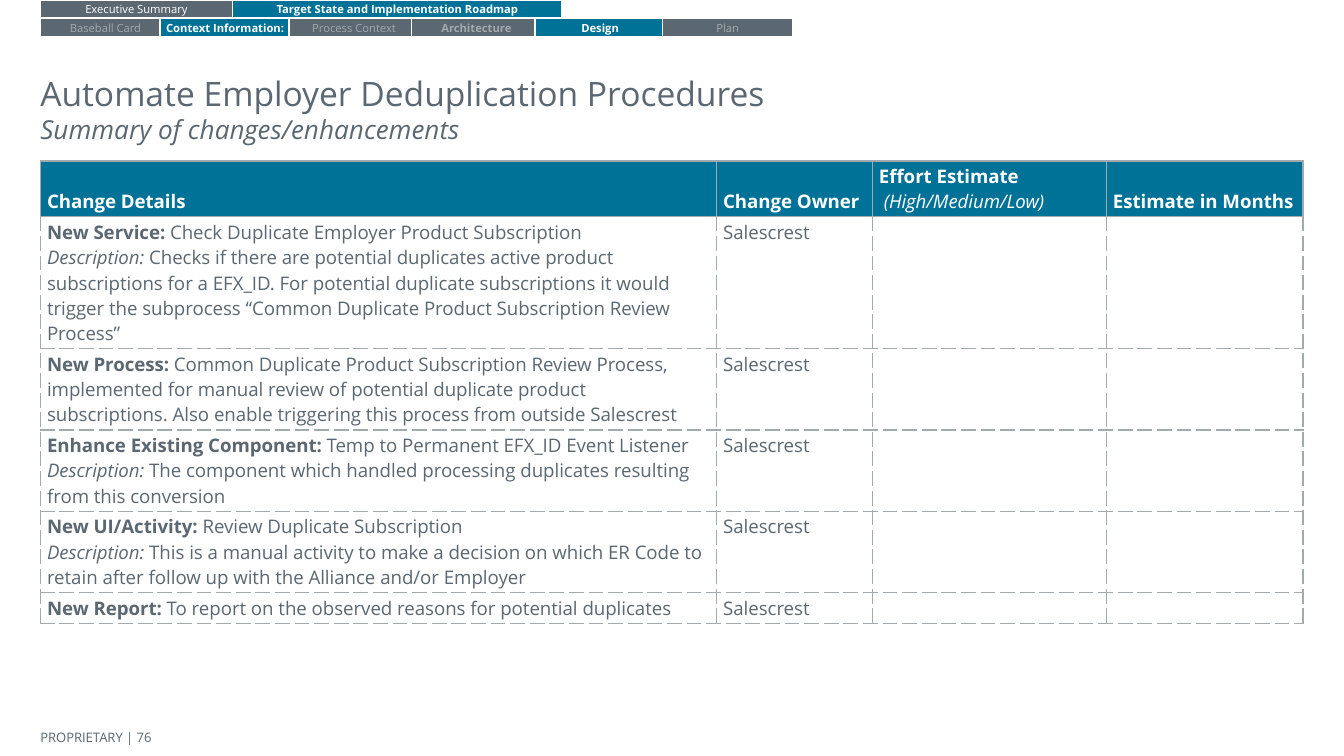
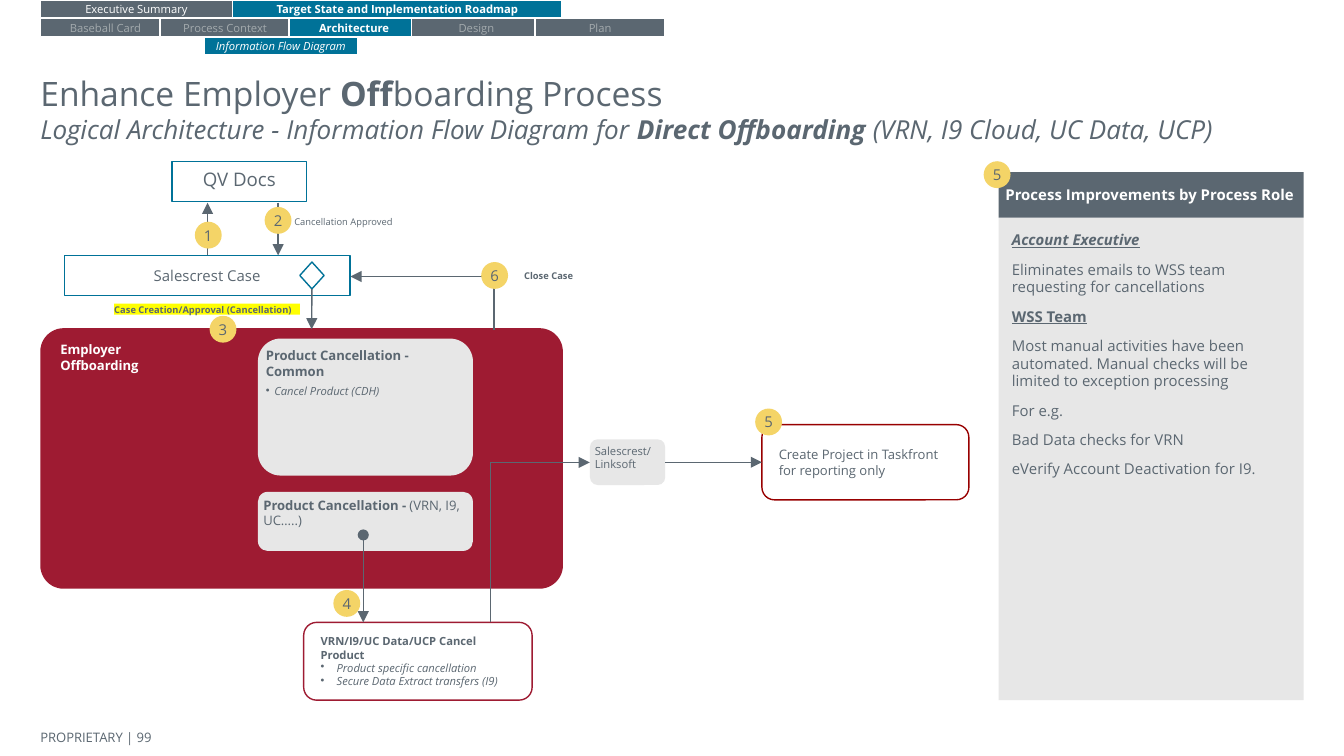
"""Build two roadmap slides: a change summary table and an offboarding flow diagram."""
from lxml.etree import SubElement
from pptx import Presentation
from pptx.dml.color import RGBColor
from pptx.enum.shapes import MSO_CONNECTOR, MSO_SHAPE
from pptx.enum.text import MSO_ANCHOR, MSO_AUTO_SIZE, PP_ALIGN
from pptx.oxml.ns import qn
from pptx.util import Pt

FONT = "Open Sans"
SLATE = RGBColor(0x5B, 0x67, 0x71)
TEAL = RGBColor(0x00, 0x72, 0x98)
MUTED = RGBColor(0xA3, 0xAA, 0xAD)
WHITE = RGBColor(0xFF, 0xFF, 0xFF)
CRIMSON = RGBColor(0x9E, 0x1B, 0x32)
DARK_RED = RGBColor(0x98, 0x00, 0x00)
PALE = RGBColor(0xE7, 0xE7, 0xE7)
GOLD = RGBColor(0xF4, 0xD4, 0x67)
YELLOW = RGBColor(0xFF, 0xFF, 0x00)
RECTANGLE, ROUNDED = MSO_SHAPE.RECTANGLE, MSO_SHAPE.ROUNDED_RECTANGLE
LEFT, CENTER = PP_ALIGN.LEFT, PP_ALIGN.CENTER
TOP, MIDDLE = MSO_ANCHOR.TOP, MSO_ANCHOR.MIDDLE


def write(frame, paras, size, colour=SLATE, align=LEFT, gap=0, bullet=None):
    """Fill a frame with paragraphs of (text, style letters, optional size) spans."""
    for index, spans in enumerate(paras):
        para = frame.add_paragraph() if index else frame.paragraphs[0]
        if index and bullet:
            properties = para._p.get_or_add_pPr()
            properties.set("marL", str(Pt(bullet)))
            properties.set("indent", str(-Pt(bullet)))
            bullet_colour = SubElement(properties, qn("a:buClr"))
            SubElement(bullet_colour, qn("a:srgbClr"), val=str(SLATE))
            SubElement(properties, qn("a:buChar"), char="•")
        para.alignment = align
        para.line_spacing = 1.0
        para.space_before = Pt(gap if index else 0)
        for text, style, *own_size in spans:
            for number, line in enumerate(text.split("\n")):
                if number:
                    para.add_line_break()
                span = para.add_run()
                span.text = line
                span.font.name = FONT
                span.font.size = Pt(own_size[0] if own_size else size)
                span.font.color.rgb = colour
                span.font.bold = "b" in style
                span.font.italic = "i" in style
                span.font.underline = "u" in style


def draw(page, kind, place, paras=(), size=6, fill=None, line=None, inset=(0, 0, 0, 0),
         anchor=TOP, adjust=None, **text_options):
    """Add a preset shape, or a text box when kind is None."""
    place = [Pt(length) for length in place]
    if kind is None:
        box = page.shapes.add_textbox(*place)
    else:
        box = page.shapes.add_shape(kind, *place)
        box.shadow.inherit = False
        if adjust is not None:
            box.adjustments[0] = adjust
        if fill is None:
            box.fill.background()
        else:
            box.fill.solid()
            box.fill.fore_color.rgb = fill
        if line is None:
            box.line.fill.background()
        else:
            box.line.color.rgb = line
            box.line.width = Pt(0.75)
    frame = box.text_frame
    frame.word_wrap = True
    frame.vertical_anchor = anchor
    frame.margin_left, frame.margin_top, frame.margin_right, frame.margin_bottom = [
        Pt(margin) for margin in inset]
    write(frame, paras, size, **text_options)
    return box


deck = Presentation()
deck.slide_width, deck.slide_height = Pt(720), Pt(405)

TAB_LEFTS = [21.6, 85.7, 154.8, 220.3, 286.6, 355]
SLIDES = [
    (76,
     [[("Automate Employer Deduplication Procedures", "")],
      [("Summary of changes/enhancements", "i", 14)]],
     [("Baseball Card", "", False), ("Context Information:", "b", True),
      ("Process Context", "", False), ("Architecture", "b", False),
      ("Design", "b", True), ("Plan", "", False)]),
    (99,
     [[("Enhance Employer ", ""), ("Off", "b"), ("boarding Process", "")],
      [("Logical Architecture - Information Flow Diagram for ", "i", 14),
       ("Direct Offboarding", "bi", 14), (" (VRN, I9 Cloud, UC Data, UCP)", "i", 14)]],
     [("Baseball Card", "", False), ("Process Context", "", False),
      ("Architecture", "b", True), ("Design", "", False), ("Plan", "", False)]),
]
pages = []
for number, heading, tabs in SLIDES:
    page = deck.slides.add_slide(deck.slide_layouts[5])
    pages.append(page)
    title = page.shapes.title
    title.left, title.top, title.width, title.height = Pt(21.6), Pt(39), Pt(676.8), Pt(36)
    frame = title.text_frame
    frame.auto_size = MSO_AUTO_SIZE.NONE
    frame.word_wrap = True
    frame.vertical_anchor = TOP
    frame.margin_left = frame.margin_top = frame.margin_right = frame.margin_bottom = 0
    write(frame, heading, 18)
    draw(page, None, (21.6, 388, 99.4, 13.7), [[(f"PROPRIETARY | {number}", "")]], 7,
         anchor=MIDDLE)
    strip = [("Target State and Implementation Roadmap", "b", (124.6, 0, 176.4, 9.4), TEAL, WHITE),
             ("Executive Summary", "", (21.6, 0, 103, 9.4), SLATE, WHITE)]
    for left, (label, style, active) in zip(TAB_LEFTS, tabs):
        strip.append((label, style, (left, 10.1, 69.8, 9.4),
                      TEAL if active else SLATE, WHITE if active else MUTED))
    if number == 99:
        strip.append(("Information Flow Diagram", "i", (109.4, 20.2, 82.1, 9.4), TEAL, WHITE))
    for label, style, place, fill, colour in strip:
        draw(page, RECTANGLE, place, [[(label, style)]], 6, fill, WHITE, (2.2,) * 4,
             MIDDLE, colour=colour, align=CENTER)

summary, flow = pages

HEADER = [[[("Change Details", "b")]], [[("Change Owner", "b")]],
          [[("Effort Estimate", "b")], [(" (High/Medium/Low)", "i")]],
          [[("Estimate in Months", "b")]]]
CHANGES = [
    [[("New Service:", "b"), (" Check Duplicate Employer Product Subscription", "")],
     [("Description:", "i"),
      (" Checks if there are potential duplicates active product subscriptions for a EFX_ID. "
       "For potential duplicate subscriptions it would trigger the subprocess “Common Duplicate "
       "Product Subscription Review Process”", "")]],
    [[("New Process: ", "b"),
      ("Common Duplicate Product Subscription Review Process, implemented for manual review of "
       "potential duplicate product subscriptions. Also enable triggering this process from "
       "outside Salescrest", "")]],
    [[("Enhance Existing Component: ", "b"), ("Temp to Permanent EFX_ID Event Listener", "")],
     [("Description:", "i"),
      (" The component which handled processing duplicates resulting from this conversion", "")]],
    [[("New UI/Activity: ", "b"), ("Review Duplicate Subscription", "")],
     [("Description:", "i"),
      (" This is a manual activity to make a decision on which ER Code to retain after follow up "
       "with the Alliance and/or Employer", "")]],
    [[("New Report: ", "b"),
      ("To report on the observed reasons for potential duplicates", "")]],
]
rows = [HEADER] + [[change, [[("Salescrest", "")]], [], []] for change in CHANGES]
widths = [362.2, 83.5, 125.4, 105.4]
heights = [30, 70.6, 43.6, 43.6, 43.6, 16.4]
table = summary.shapes.add_table(6, 4, Pt(21.6), Pt(86.2), Pt(sum(widths)),
                                 Pt(sum(heights))).table
table.horz_banding = False
for column, width in zip(table.columns, widths):
    column.width = Pt(width)
for row_index, (cells, height) in enumerate(zip(rows, heights)):
    table.rows[row_index].height = Pt(height)
    for column_index, paras in enumerate(cells):
        cell = table.cell(row_index, column_index)
        cell.margin_left = cell.margin_right = Pt(3.6)
        cell.margin_top = cell.margin_bottom = Pt(1.4)
        cell.vertical_anchor = TOP if row_index else MSO_ANCHOR.BOTTOM
        for side in ("lnL", "lnR", "lnT", "lnB"):
            solid = row_index == 0 or (row_index == 1 and side == "lnT")
            border = SubElement(cell._tc.get_or_add_tcPr(), qn(f"a:{side}"), w=str(Pt(0.75)))
            paint = SubElement(border, qn("a:solidFill"))
            SubElement(paint, qn("a:srgbClr"), val=str(MUTED))
            SubElement(border, qn("a:prstDash"), val="solid" if solid else "dash")
        cell.fill.solid()
        cell.fill.fore_color.rgb = WHITE if row_index else TEAL
        write(cell.text_frame, paras, 10, SLATE if row_index else WHITE)
        if not paras:
            SubElement(cell.text_frame.paragraphs[0]._p, qn("a:endParaRPr"), sz="1000")

draw(flow, ROUNDED, (21.6, 175.8, 280, 139.6), [[("Employer", "b")], [("Offboarding", "b")]],
     7, CRIMSON, inset=(7.2, 3.6, 7.2, 7.2), adjust=0.09, colour=WHITE)
draw(flow, ROUNDED, (162.7, 333.4, 122.4, 41.7),
     [[("VRN/I9/UC Data/UCP Cancel Product", "b")],
      [("Product specific cancellation", "i")], [("Secure Data Extract transfers (I9)", "i")]],
     6, WHITE, CRIMSON, (7.2,) * 4, MIDDLE, bullet=8.6)
project = draw(flow, ROUNDED, (408.2, 227.5, 110.9, 40.3),
               [[("Create Project in Taskfront for reporting only", "")]],
               7, WHITE, DARK_RED, (7.2,) * 4, MIDDLE)
case = draw(flow, RECTANGLE, (34.6, 136.8, 152.9, 21.6), [[("Salescrest Case", "")]],
            8, WHITE, TEAL, (3.6,) * 4, MIDDLE, align=CENTER)
draw(flow, RECTANGLE, (92.2, 86.4, 72, 21.6), [[("QV Docs", "")]],
     10, WHITE, TEAL, (3.6,) * 4, align=CENTER)
decision = draw(flow, MSO_SHAPE.DIAMOND, (160.6, 140.4, 13, 14.4), line=TEAL)
bridge = draw(flow, ROUNDED, (316.1, 235.4, 40.3, 24.5), [[("Salescrest/\nLinksoft", "")]],
              6, PALE, inset=(1.4,) * 4)
draw(flow, ROUNDED, (138.2, 181.4, 115.2, 73.4),
     [[("Product Cancellation - Common", "b")], [("Cancel Product (CDH)", "i", 6)]],
     7, PALE, inset=(0.7, 1.4, 0, 1.4), gap=3, bullet=4.5)
draw(flow, ROUNDED, (138.2, 263.5, 115.2, 31.7),
     [[("Product Cancellation -", "b"), (" (VRN, I9, UC…..)", "")]],
     7, PALE, inset=(1.4,) * 4)
draw(flow, RECTANGLE, (535, 116.6, 163.4, 258.5),
     [[("Account Executive", "biu")],
      [("Eliminates emails to WSS team requesting for cancellations", "")],
      [("WSS Team", "bu")],
      [("Most manual activities have been automated. Manual checks will be limited to "
        "exception processing", "")],
      [("For e.g.", "")], [("Bad Data checks for VRN", "")],
      [("eVerify Account Deactivation for I9.", "")]],
     8, PALE, inset=(7.2,) * 4, gap=6)
draw(flow, RECTANGLE, (535, 92.2, 163.4, 24.5), [[("Process Improvements by Process Role", "b")]],
     8, SLATE, inset=(3.6,) * 4, anchor=MIDDLE, colour=WHITE)

STRAIGHT, ELBOW = MSO_CONNECTOR.STRAIGHT, MSO_CONNECTOR.ELBOW
ARROWS = [
    (STRAIGHT, (356.4, 247.7, 408.2, 247.7), (bridge, 3), (project, 1), None, None),
    (STRAIGHT, (111.2, 136.8, 111.2, 108.6), None, None, None, None),
    (STRAIGHT, (149, 108.6, 149, 136.8), None, None, None, None),
    (STRAIGHT, (167, 154.8, 167, 176.4), (decision, 2), None, None, None),
    (STRAIGHT, (194.6, 286.6, 194.6, 333.4), None, None, None, "oval"),
    (ELBOW, (246.5, 263.9, 332.2, 317.2), None, (bridge, 1), {"rot": "16200000"}, None),
    (ELBOW, (211.9, 124, 240.7, 201), None, (case, 3), {"rot": "5400000", "flipH": "1"}, None),
]
for kind, (begin_x, begin_y, end_x, end_y), start, finish, turn, head in ARROWS:
    arrow = flow.shapes.add_connector(kind, Pt(begin_x), Pt(begin_y), Pt(end_x), Pt(end_y))
    if start:
        arrow.begin_connect(*start)
    if finish:
        arrow.end_connect(*finish)
    properties = arrow.element.spPr
    if turn:
        arrow.left, arrow.top = Pt(begin_x), Pt(begin_y)
        arrow.width, arrow.height = Pt(end_x - begin_x), Pt(end_y - begin_y)
        frame = properties.find(qn("a:xfrm"))
        frame.attrib.clear()
        for name, value in turn.items():
            frame.set(name, value)
        properties.find(qn("a:prstGeom")).set("prst", "bentConnector2")
    arrow.line.color.rgb = SLATE
    arrow.line.width = Pt(0.75)
    outline = properties.find(qn("a:ln"))
    if head:
        SubElement(outline, qn("a:headEnd"), type=head)
    SubElement(outline, qn("a:tailEnd"), type="triangle")
    SubElement(properties, qn("a:effectLst"))

BADGES = [("1", 104.4, 118.8), ("2", 141.8, 110.9), ("3", 112.3, 169.2), ("4", 178.6, 316.1),
          ("5", 404.6, 218.9), ("6", 257.8, 140.4), ("5", 527, 86.4)]
for step, left, top in BADGES:
    draw(flow, MSO_SHAPE.OVAL, (left, top, 14.4, 14.4), [[(step, "")]], 8, GOLD,
         anchor=MIDDLE, align=CENTER)
LABELS = [(None, "Close Case", "b", (280.8, 144.7, 72, 5.8), None),
          (None, "Cancellation Approved", "", (157.7, 115.9, 122.4, 5.8), None),
          (RECTANGLE, "Case Creation/Approval (Cancellation)", "b", (61.2, 162.7, 99.4, 5.8), YELLOW)]
for kind, label, style, place, fill in LABELS:
    box = draw(flow, kind, place, [[(label, style)]], 5, fill)
    box.text_frame.auto_size = MSO_AUTO_SIZE.SHAPE_TO_FIT_TEXT

deck.save("out.pptx")
